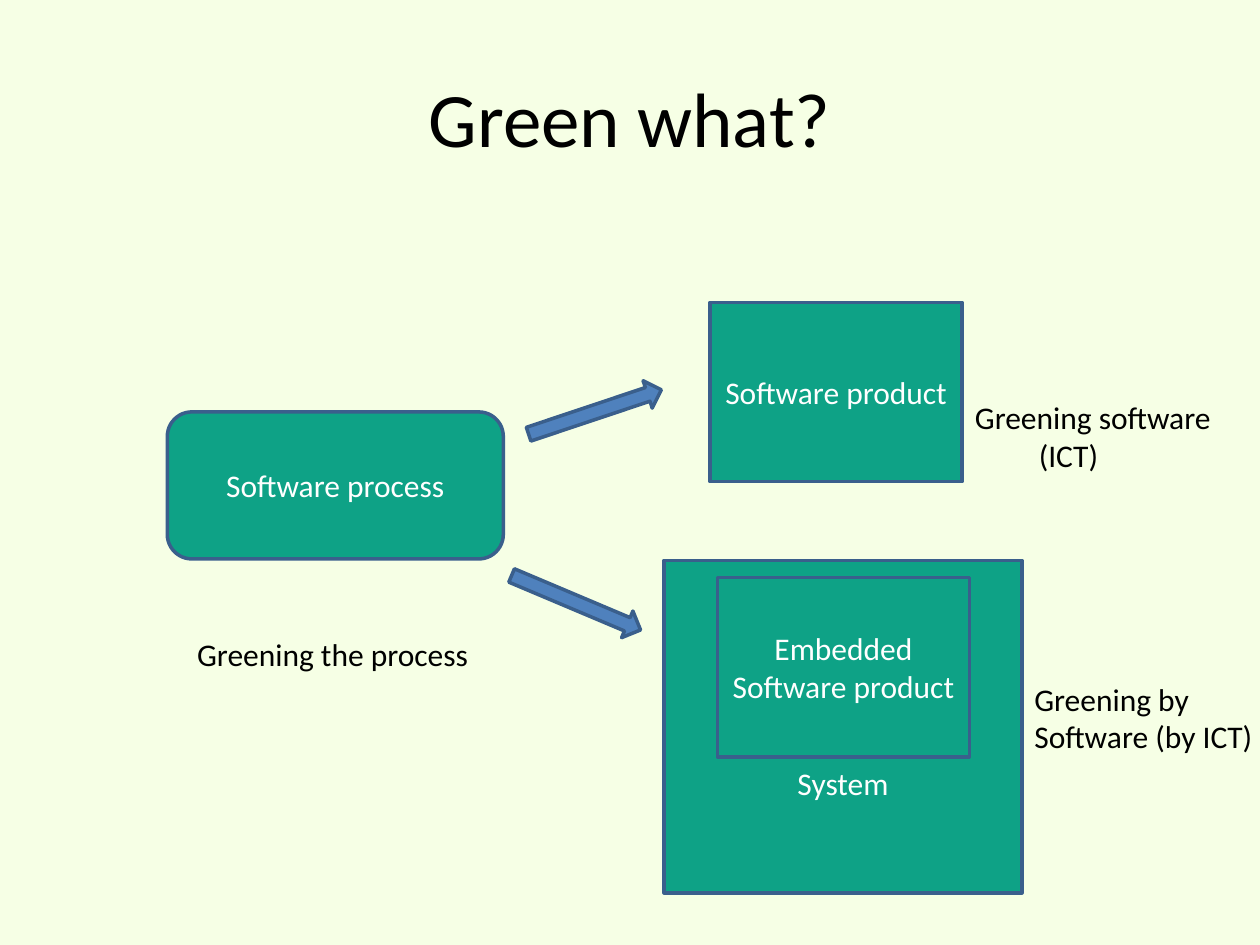
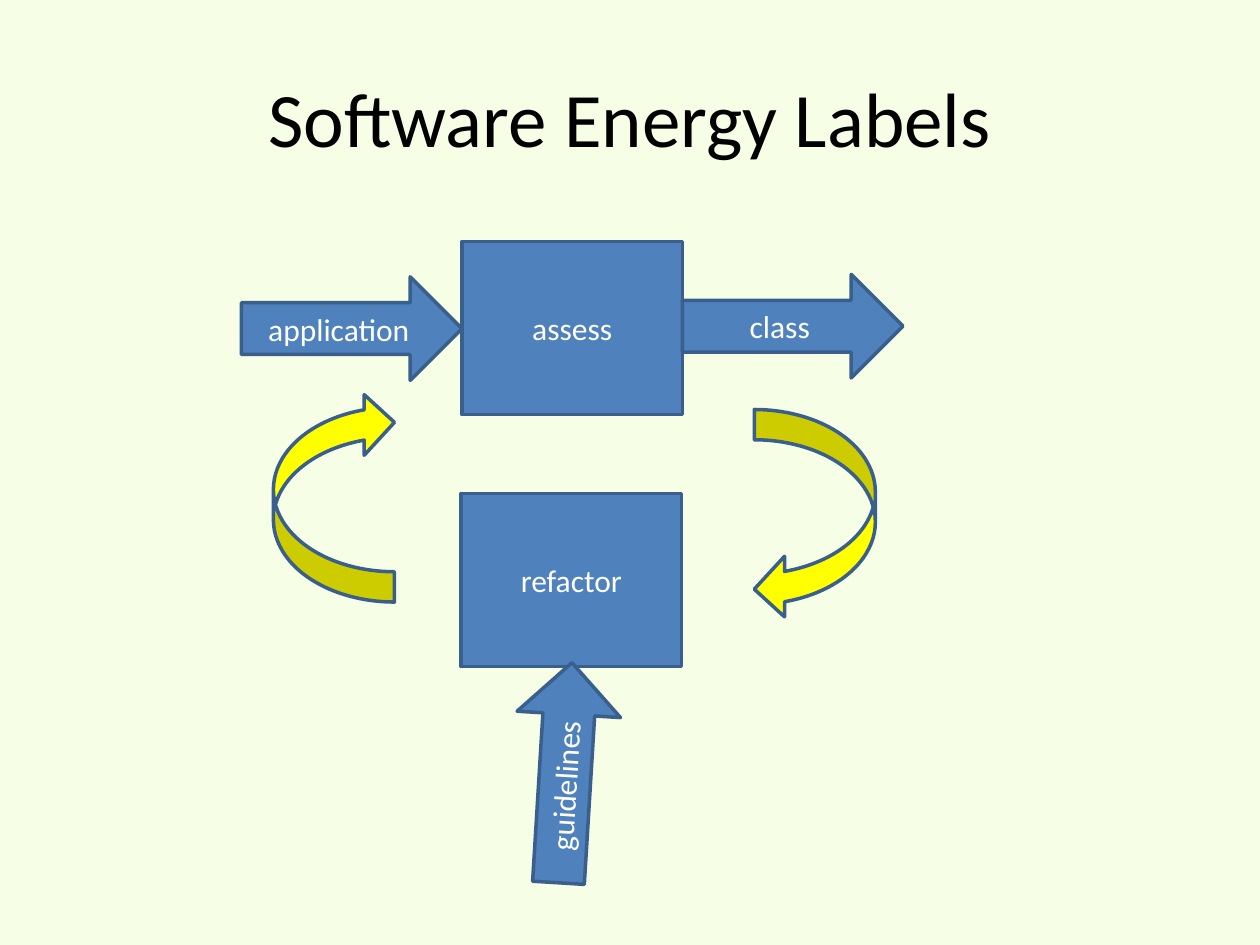
"""Build two slides on green software: what to green, and energy labels."""
from pptx import Presentation
from pptx.dml.color import RGBColor
from pptx.enum.shapes import MSO_SHAPE
from pptx.enum.text import MSO_ANCHOR, PP_ALIGN
from pptx.util import Pt

RECT, ROUNDED = MSO_SHAPE.RECTANGLE, MSO_SHAPE.ROUNDED_RECTANGLE
ARROW, CURVE = MSO_SHAPE.RIGHT_ARROW, MSO_SHAPE.CURVED_LEFT_ARROW
MIDDLE, CENTER = MSO_ANCHOR.MIDDLE, PP_ALIGN.CENTER

CREAM = RGBColor(0xF6, 0xFF, 0xE5)
GREEN = RGBColor(0x0E, 0xA2, 0x86)
BLUE = RGBColor(0x4F, 0x81, 0xBD)
NAVY = RGBColor(0x3A, 0x5F, 0x8C)
YELLOW = RGBColor(0xFF, 0xFF, 0x00)
WHITE = RGBColor(0xFF, 0xFF, 0xFF)
BLACK = RGBColor(0, 0, 0)
FONT = "Calibri"

PRODUCT_SIZE = (144, 102.5)
FLOW_SIZE = (80, 16.5)
STEP_SIZE = (126, 99)
LABEL_ARROW_SIZE = (126, 59.2)
CYCLE_SIZE = (69.2, 120)
SYSTEM_TOP_INSET = 68
ICT_INDENT = 36.5

# Shapes: kind, text, fill, (left, top), (width, height), rotation
# Captions: lines, (left, top), (width, height), indent of the last line
SLIDES = [
    {
        "title": "Green what?",
        "shapes": [
            (RECT, "System", GREEN, (379.5, 320.2), (204.5, 190), 0),
            (ROUNDED, "Software process", GREEN, (95.6, 235.4), (192, 84), 0),
            (RECT, "Software product", GREEN, (405.8, 172.8), PRODUCT_SIZE, 0),
            (RECT, "Embedded Software product", GREEN, (410, 330), PRODUCT_SIZE, 0),
            (ARROW, "", BLUE, (300, 227.2), FLOW_SIZE, 341.5),
            (ARROW, "", BLUE, (289.2, 336.2), FLOW_SIZE, 22.9),
        ],
        "captions": [
            (["Greening software", "(ICT)"], (550, 224), (151, 73), ICT_INDENT),
            (["Greening by", "Software (by ICT)"], (584, 384.8), (141, 51), 0),
            (["Greening the process"], (105.6, 359.2), (171.5, 51), 0),
        ],
    },
    {
        "title": "Software Energy Labels",
        "shapes": [
            (RECT, "assess", BLUE, (264, 138), STEP_SIZE, 0),
            (ARROW, "application", BLUE, (138, 158.2), LABEL_ARROW_SIZE, 0),
            (ARROW, "class", BLUE, (390, 156.8), LABEL_ARROW_SIZE, 0),
            (RECT, "refactor", BLUE, (263.5, 282), STEP_SIZE, 0),
            (ARROW, "guidelines", BLUE, (260, 412), LABEL_ARROW_SIZE, 273.5),
            (CURVE, "", YELLOW, (156.2, 224), CYCLE_SIZE, 180),
            (CURVE, "", YELLOW, (431, 234), CYCLE_SIZE, 0),
        ],
        "captions": [],
    },
]


def points(*values):
    return [Pt(value) for value in values]


def style(p, size, color):
    p.font.name, p.font.size, p.font.color.rgb = FONT, Pt(size), color


def set_title(slide, text):
    title = slide.shapes.title
    title.left, title.top, title.width, title.height = points(36, 21.6, 648, 90)
    tf = title.text_frame
    tf.text, tf.vertical_anchor = text, MIDDLE
    tf.paragraphs[0].alignment = CENTER
    style(tf.paragraphs[0], 44, BLACK)


def add_block(slide, kind, text, fill, place, size, rotation):
    sp = slide.shapes.add_shape(kind, *points(*place, *size))
    sp.rotation = rotation
    sp.shadow.inherit = False
    sp.fill.solid()
    sp.fill.fore_color.rgb = fill
    sp.line.color.rgb, sp.line.width = NAVY, Pt(2)
    if text:
        tf = sp.text_frame
        tf.text, tf.word_wrap, tf.vertical_anchor = text, True, MIDDLE
        tf.paragraphs[0].alignment = CENTER
        style(tf.paragraphs[0], 18, WHITE)
    return sp


def add_caption(slide, lines, place, size, indent):
    tf = slide.shapes.add_textbox(*points(*place, *size)).text_frame
    tf.text, tf.word_wrap = "\n".join(lines), False
    for p in tf.paragraphs:
        style(p, 18, BLACK)
    if indent:
        tf.paragraphs[-1]._p.get_or_add_pPr().set("marL", str(Pt(indent)))


def main():
    prs = Presentation()
    prs.slide_width, prs.slide_height = points(720, 540)
    background = prs.slide_master.background.fill
    background.solid()
    background.fore_color.rgb = CREAM
    for content in SLIDES:
        slide = prs.slides.add_slide(prs.slide_layouts[5])
        set_title(slide, content["title"])
        for block in content["shapes"]:
            sp = add_block(slide, *block)
            if sp.text_frame.text == "System":
                sp.text_frame.margin_top = Pt(SYSTEM_TOP_INSET)
        for caption in content["captions"]:
            add_caption(slide, *caption)
    prs.save("out.pptx")


if __name__ == "__main__":
    main()
